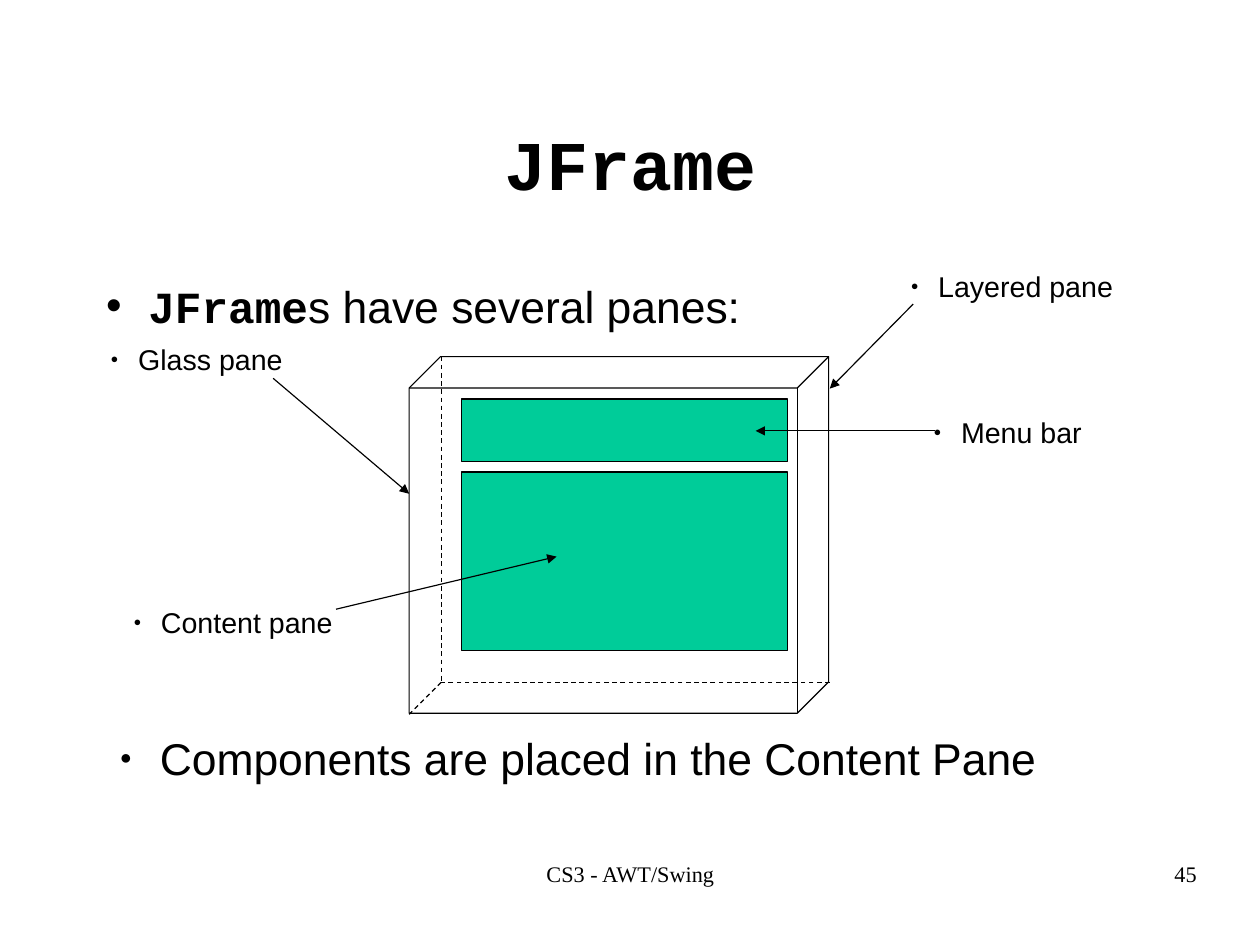
from pptx import Presentation
from pptx.util import Cm, Inches, Pt
from pptx.dml.color import RGBColor
from pptx.enum import dml, shapes, text
from pptx.oxml.ns import qn
from lxml import etree

INK = {"black": "000000", "green": "00CC99"}
SANS, MONO, SERIF = "Arial", "Courier New", "Times New Roman"
LEFT, MID, RIGHT = text.PP_ALIGN.LEFT, text.PP_ALIGN.CENTER, text.PP_ALIGN.RIGHT
black = RGBColor.from_string(INK["black"])

deck = Presentation()
deck.slide_width, deck.slide_height = Cm(28), Cm(21)
slide = deck.slides.add_slide(deck.slide_layouts[5])


def write(para, runs, size, align=LEFT, bullet=None):
    """Fill a paragraph; runs are (words, font, bold), bullet is (mark, percent, margin, hang)."""
    para.alignment = align
    if bullet:
        mark, scale, margin, hang = bullet
        props = para._p.get_or_add_pPr()
        props.set("marL", str(Inches(margin)))
        props.set("indent", str(-Inches(hang)))
        etree.SubElement(props, qn("a:buSzPct")).set("val", str(scale * 1000))
        etree.SubElement(props, qn("a:buFont")).set("typeface", SANS)
        etree.SubElement(props, qn("a:buChar")).set("char", mark)
    for words, font, bold in runs:
        run = para.add_run()
        run.text = words
        run.font.name, run.font.size, run.font.bold = font, Pt(size), bold
        run.font.color.rgb = black


def add_box(left, top, width, height, inset=(0.1, 0.05, 0.1)):
    """Add a wrapping text box; inset is (left, top and bottom, right)."""
    frame = slide.shapes.add_textbox(
        Inches(left), Inches(top), Inches(width), Inches(height)).text_frame
    frame.word_wrap = True
    frame.margin_left, frame.margin_right = Inches(inset[0]), Inches(inset[2])
    frame.margin_top = frame.margin_bottom = Inches(inset[1])
    return frame


# Title
title = slide.shapes.title
title.left, title.top = Inches(0.83), Inches(0.73)
title.width, title.height = Inches(9.37), Inches(1.38)
title.text_frame.vertical_anchor = text.MSO_ANCHOR.MIDDLE
write(title.text_frame.paragraphs[0], [("JFrame", MONO, True)], 44, MID)

# Main points, above and below the diagram
body = add_box(0.83, 2.39, 9.37, 4.97)
write(body.paragraphs[0],
      [("JFrame", MONO, True), ("s have several panes:", SANS, False)],
      28, bullet=("•", 100, 0.37, 0.37))
last = body.add_paragraph()
last.space_before = Pt(251)
write(last, [("Components are placed in the Content Pane", SANS, False)],
      28, bullet=("●", 45, 0.47, 0.35))

# Frame as a glass cube, with the menu bar and content pane inside
cube, rect = shapes.MSO_SHAPE.CUBE, shapes.MSO_SHAPE.RECTANGLE
panes = [
    (cube, 3.58, 3.12, 3.67, 3.12, None),
    (rect, 4.04, 3.49, 2.85, 0.55, "green"),
    (rect, 4.04, 4.13, 2.85, 1.56, "green"),
]
for kind, left, top, width, height, fill in panes:
    pane = slide.shapes.add_shape(
        kind, Inches(left), Inches(top), Inches(width), Inches(height))
    pane.shadow.inherit = False
    pane.line.color.rgb, pane.line.width = black, Pt(0.75)
    if fill:
        pane.fill.solid()
        pane.fill.fore_color.rgb = RGBColor.from_string(INK[fill])
    else:
        pane.fill.background()
        pane.adjustments[0] = 0.088

# Hidden cube edges are dashed, pointers have arrowheads
edges = [
    (3.86, 3.12, 3.86, 5.97),
    (7.26, 5.97, 3.86, 5.97),
    (3.86, 5.97, 3.58, 6.25),
]
arrows = [
    (2.39, 3.31, 3.58, 4.32),
    (7.99, 2.66, 7.26, 3.4),
    (8.18, 3.77, 6.61, 3.77),
    (2.94, 5.33, 4.87, 4.87),
]
for ends in edges + arrows:
    line = slide.shapes.add_connector(
        shapes.MSO_CONNECTOR.STRAIGHT, *[Inches(end) for end in ends])
    line.line.color.rgb, line.line.width = black, Pt(0.75)
    if ends in edges:
        line.line.dash_style = dml.MSO_LINE.DASH
    else:
        stroke = line.line._get_or_add_ln()
        etree.SubElement(stroke, qn("a:tailEnd")).set("type", "triangle")
    etree.SubElement(line._element.spPr, qn("a:effectLst"))

# Pane labels
labels = [
    ("Glass pane", 0.87, 2.94, 1.7),
    ("Layered pane", 7.87, 2.3, 1.96),
    ("Menu bar", 8.07, 3.58, 1.49),
    ("Content pane", 1.07, 5.24, 1.94),
]
for words, left, top, width in labels:
    label = add_box(left, top, width, 0.4, inset=(0.1, 0.05, 0))
    write(label.paragraphs[0], [(words, SANS, False)], 18,
          bullet=("●", 45, 0.24, 0.24))

# Footer and page number
for words, left, width, align in [("CS3 - AWT/Swing", 3.77, 3.49, MID),
                                  ("45", 7.9, 2.57, RIGHT)]:
    foot = add_box(left, 7.53, width, 0.57, inset=(0, 0, 0))
    write(foot.paragraphs[0], [(words, SERIF, False)], 14, align)

deck.save("out.pptx")
